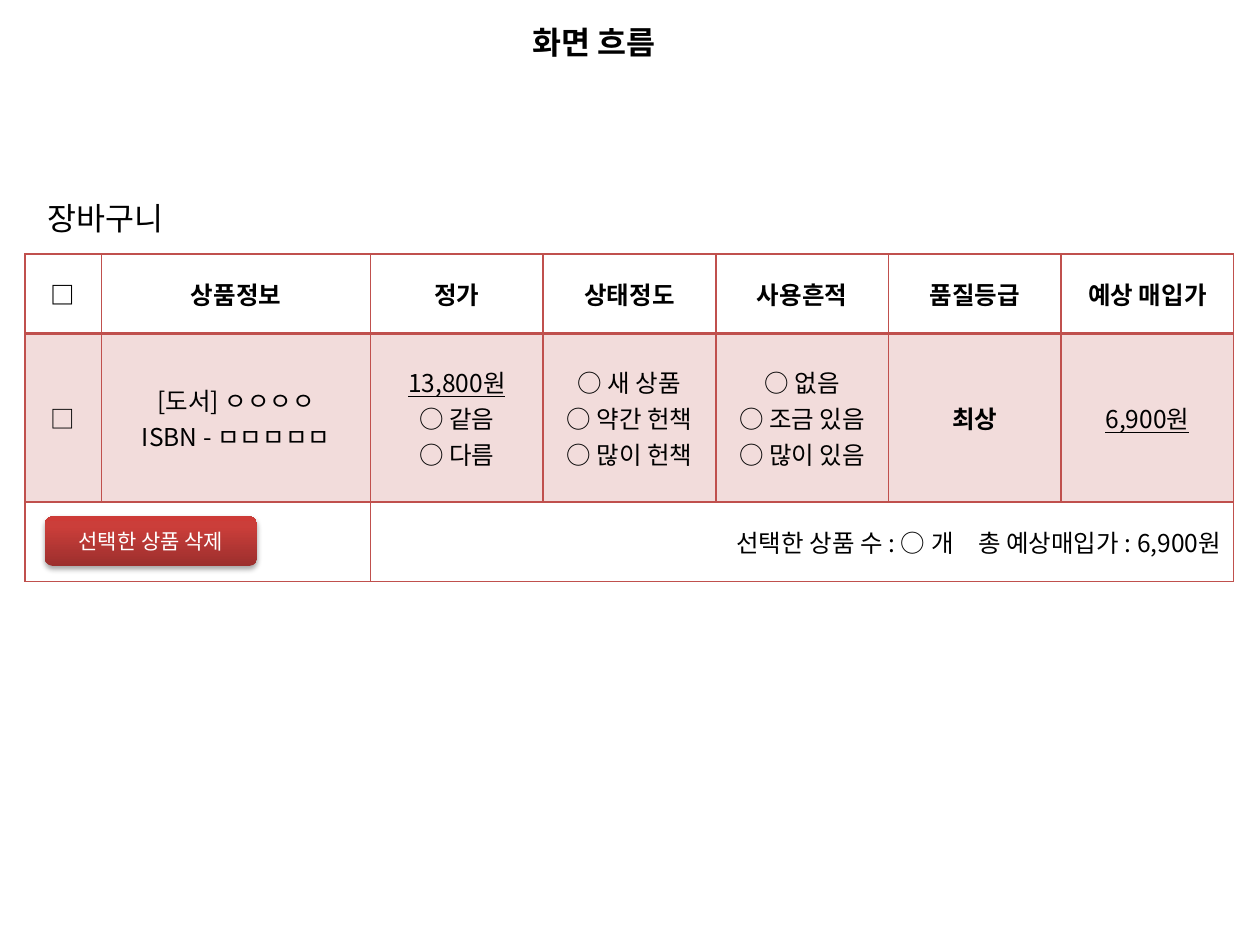
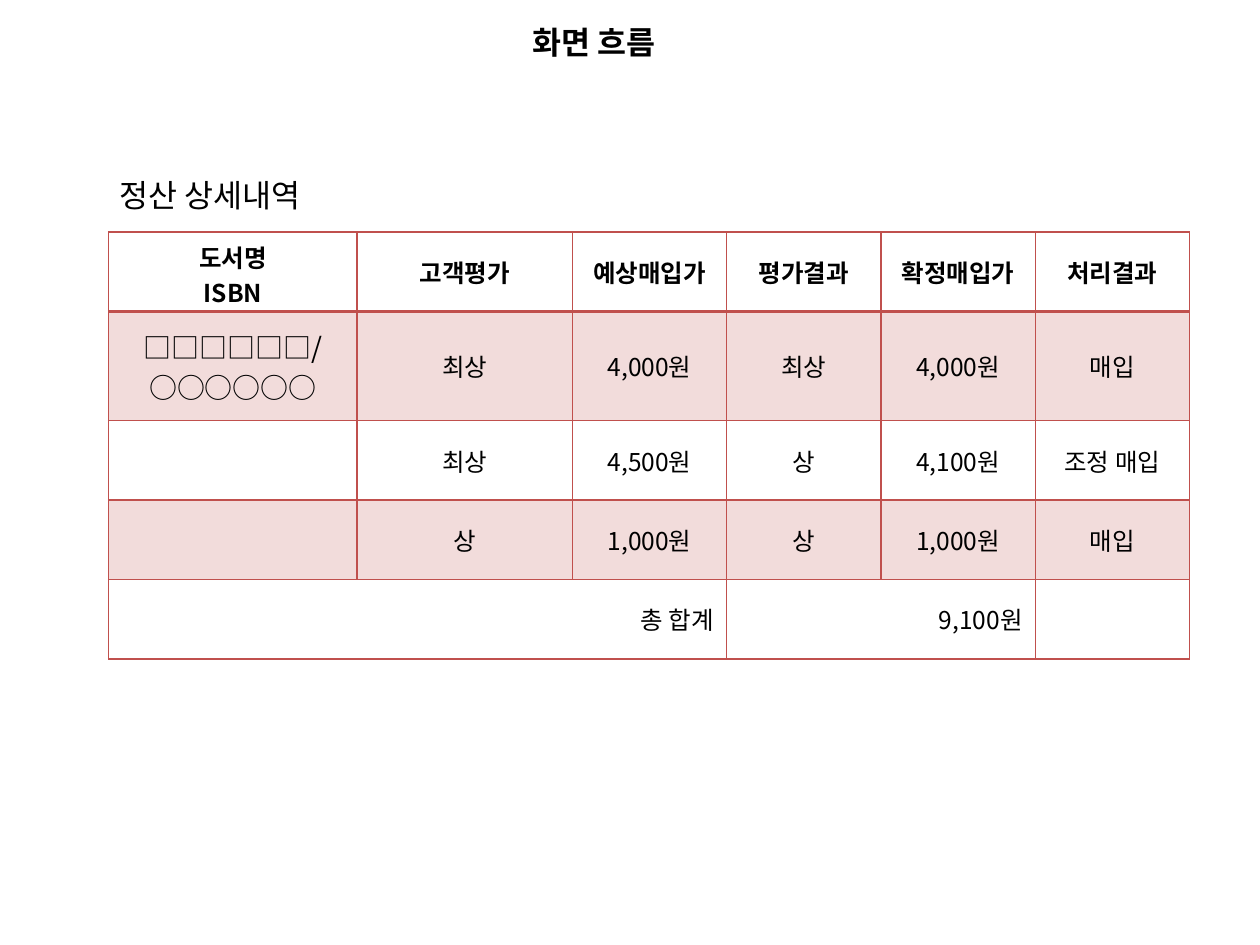
from lxml import etree
from pptx import Presentation
from pptx.dml.color import RGBColor as RGB
from pptx.enum.shapes import MSO_SHAPE as SHAPE
from pptx.enum.text import MSO_ANCHOR as ANCHOR, MSO_AUTO_SIZE as AUTO, PP_ALIGN as ALIGN
from pptx.oxml import parse_xml
from pptx.oxml.ns import nsdecls, qn
from pptx.util import Cm, Pt

FONT = "Noto Sans CJK KR"
COLORS = {"text": "000000", "white": "FFFFFF", "red": "C0504D",
          "dark": "9C2F2D", "mid": "CB3E3A", "bright": "CE3B37"}


def add_text(tf, text, size=14, bold=False, color="text", align=ALIGN.CENTER, underline=""):
    """Write one paragraph per line; a line equal to `underline` is underlined."""
    for i, line in enumerate(text.split("\n")):
        p = tf.paragraphs[0] if i == 0 else tf.add_paragraph()
        p.alignment = align
        r = p.add_run()
        r.text = line
        r.font.size = Pt(size)
        r.font.bold = bold
        if line == underline:
            r.font.underline = True
        r.font.color.rgb = RGB.from_string(COLORS[color])
        r.font.name = FONT
        etree.SubElement(r.font._element, qn("a:ea"), typeface=FONT)


def add_grid(sp, left, top, cols, rows, data, shaded, merges, formats):
    """Draw a ruled table with a bold header row and tinted body rows."""
    frame = sp.add_table(len(rows), len(cols), Cm(left), Cm(top), Cm(sum(cols)), Cm(sum(rows)))
    tbl = frame.table
    for column, width in zip(tbl.columns, cols):
        column.width = Cm(width)
    for row, height in zip(tbl.rows, rows):
        row.height = Cm(height)
    for y, x_from, x_to in merges:
        tbl.cell(y, x_from).merge(tbl.cell(y, x_to))

    for y, texts in enumerate(data):
        for x, text in enumerate(texts):
            cell = tbl.cell(y, x)
            cell.vertical_anchor = ANCHOR.MIDDLE
            if text:
                add_text(cell.text_frame, text, **{"bold": y == 0, **formats.get((y, x), {})})

            # Tint
            tcPr = cell._tc.get_or_add_tcPr()
            if y in shaded:
                cell.fill.solid()
                cell.fill.fore_color.rgb = RGB.from_string(COLORS["red"])
                etree.SubElement(tcPr.find(".//" + qn("a:srgbClr")), qn("a:alpha"), val="20000")
            else:
                cell.fill.background()

            # Borders, heavier under the header
            widths = {"L": 1, "R": 1, "T": 2 if y == 1 else 1, "B": 2 if y == 0 else 1}
            for i, (side, width) in enumerate(widths.items()):
                tcPr.insert(i, parse_xml(
                    f'<a:ln{side} {nsdecls("a")} w="{Pt(width)}"><a:solidFill>'
                    f'<a:srgbClr val="{COLORS["red"]}"/></a:solidFill></a:ln{side}>'))


prs = Presentation()
prs.slide_width, prs.slide_height = Cm(25.4), Cm(19.05)

RIGHT = {"align": ALIGN.RIGHT}
pages = [
    {"label": ("장바구니", 0.71, 3.89, 3.4),
     "grid": dict(
         left=0.5, top=5.12, cols=[1.55, 5.42] + [3.48] * 5, rows=[1.6, 3.4, 1.6],
         data=[
             ["□", "상품정보", "정가", "상태정도", "사용흔적", "품질등급", "예상 매입가"],
             ["□", "[도서] ㅇㅇㅇㅇ\nISBN - ㅁㅁㅁㅁㅁ", "13,800원\n○ 같음\n○ 다름",
              "○ 새 상품\n○ 약간 헌책\n○ 많이 헌책", "○ 없음\n○ 조금 있음\n○ 많이 있음",
              "최상", "6,900원"],
             ["", "", "선택한 상품 수 : ○ 개\u2003총 예상매입가 : 6,900원", "", "", "", ""]],
         shaded=[1], merges=[(2, 0, 1), (2, 2, 6)],
         formats={(1, 2): {"underline": "13,800원"}, (1, 5): {"bold": True},
                  (1, 6): {"underline": "6,900원"}, (2, 2): RIGHT})},
    {"label": ("정산 상세내역", 2.16, 3.42, 4.8),
     "grid": dict(
         left=2.19, top=4.68, cols=[5.01, 4.34] + [3.11] * 4, rows=[1.6, 2.2, 1.6, 1.6, 1.6],
         data=[
             ["도서명\nISBN", "고객평가", "예상매입가", "평가결과", "확정매입가", "처리결과"],
             ["□□□□□□/\n○○○○○○", "최상", "4,000원", "최상", "4,000원", "매입"],
             ["", "최상", "4,500원", "상", "4,100원", "조정 매입"],
             ["", "상", "1,000원", "상", "1,000원", "매입"],
             ["총 합계", "", "", "9,100원", "", ""]],
         shaded=[1, 3], merges=[(4, 0, 2), (4, 3, 4)],
         formats={(1, 0): {"size": 16}, (4, 0): RIGHT, (4, 3): RIGHT})},
]

# Title, label and table on every slide
for page in pages:
    s = prs.slides.add_slide(prs.slide_layouts[6])
    sp = s.shapes
    boxes = [((" 화면 흐름", 5.51, 0.33, 12.8), {"bold": True}),
             (page["label"], {"align": ALIGN.LEFT})]
    for (text, left, top, width), style in boxes:
        tf = sp.add_textbox(Cm(left), Cm(top), Cm(width), Cm(1.02)).text_frame
        tf.word_wrap = True
        tf.auto_size = AUTO.SHAPE_TO_FIT_TEXT
        add_text(tf, text, size=18, **style)
    add_grid(sp, **page["grid"])

# Delete button in the cart
button = prs.slides[0].shapes.add_shape(
    SHAPE.ROUNDED_RECTANGLE, Cm(0.9), Cm(10.41), Cm(4.29), Cm(1))
button.line.fill.background()
stops = "".join(f'<a:gs pos="{pos}"><a:srgbClr val="{COLORS[name]}"/></a:gs>'
                for pos, name in [(0, "dark"), (80000, "mid"), (100000, "bright")])
spPr = button._element.spPr
spPr.insert(2, parse_xml(
    f'<a:gradFill {nsdecls("a")} rotWithShape="1"><a:gsLst>{stops}</a:gsLst>'
    '<a:lin ang="16200000" scaled="0"/></a:gradFill>'))
spPr.append(parse_xml(
    f'<a:effectLst {nsdecls("a")}><a:outerShdw blurRad="40000" dist="23000" dir="5400000" '
    f'rotWithShape="0"><a:srgbClr val="{COLORS["text"]}"><a:alpha val="35000"/></a:srgbClr>'
    '</a:outerShdw></a:effectLst>'))
button.text_frame.vertical_anchor = ANCHOR.MIDDLE
add_text(button.text_frame, "선택한 상품 삭제", size=12, color="white")

prs.save("out.pptx")
